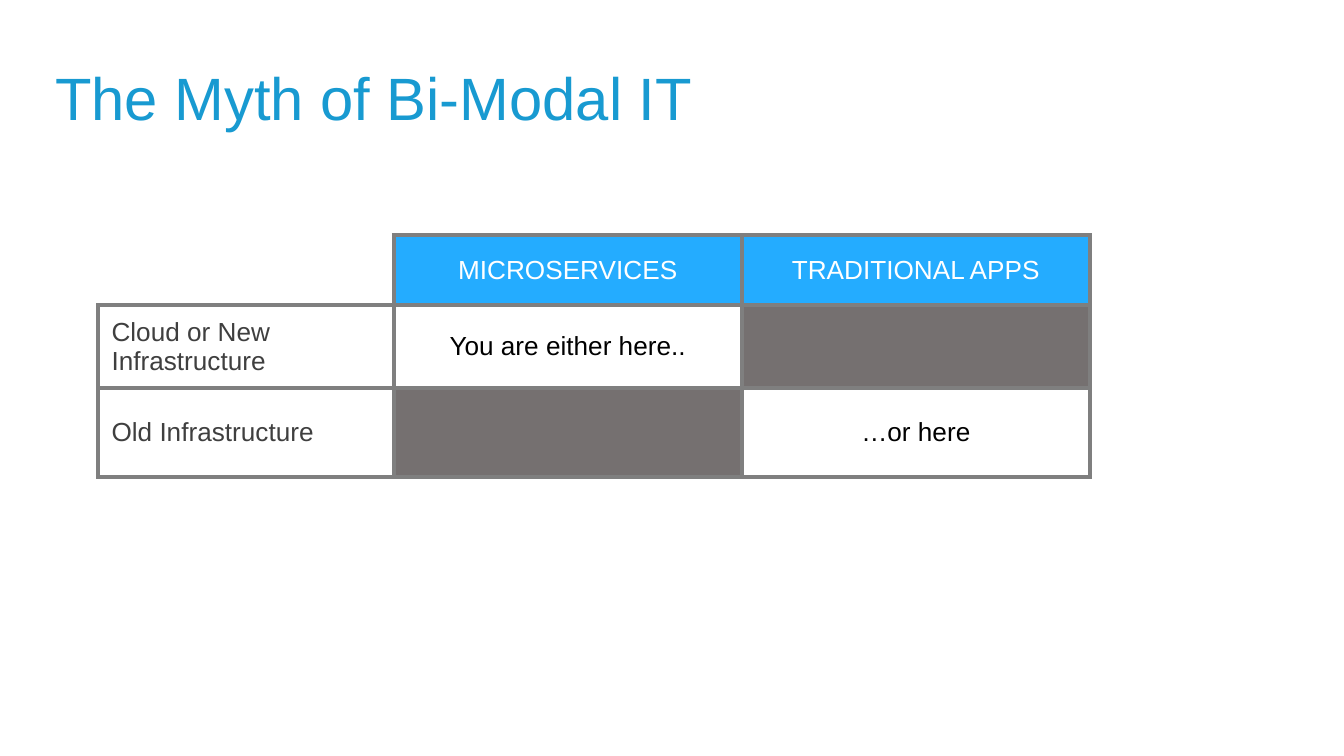
from dataclasses import dataclass
from typing import Optional

from lxml import etree
from pptx import Presentation
from pptx import util as u
from pptx.dml.color import RGBColor
from pptx.enum import text
from pptx.oxml.ns import qn


@dataclass(frozen=True)
class Theme:
    font: str = "Arial"
    title: str = "189AD1"
    header: str = "24ACFF"
    blocked: str = "757070"
    border: str = "7F7F7F"
    white: str = "FFFFFF"
    label: str = "3F3F3F"
    body: str = "000000"
    title_size: float = 32
    cell_size: float = 14
    border_width: float = 2.25


THEME = Theme()


@dataclass(frozen=True)
class Cell:
    words: str = ""
    color: str = THEME.body
    fill: Optional[str] = None
    centred: bool = True
    sides: str = "LRTB"


def format_paragraph(p, size: float, color: str, **formats) -> None:
    """Apply the font, then any paragraph formats."""
    for name, value in {"name": THEME.font, "size": u.Pt(size), "bold": False}.items():
        setattr(p.font, name, value)
    p.font.color.rgb = RGBColor.from_string(color)
    for name, value in formats.items():
        setattr(p, name, value)


def draw_borders(tc_pr, sides: str) -> None:
    """Line the named sides and clear the others."""
    for side in "LRTB":
        ln = etree.SubElement(tc_pr, qn(f"a:ln{side}"), w=str(u.Pt(THEME.border_width)))
        if side in sides:
            fill = etree.SubElement(ln, qn("a:solidFill"))
            etree.SubElement(fill, qn("a:srgbClr"), val=THEME.border)
        else:
            etree.SubElement(ln, qn("a:noFill"))


def draw_cell(cell, item: Cell) -> None:
    draw_borders(cell._tc.get_or_add_tcPr(), item.sides)
    if item.fill:
        cell.fill.solid()
        cell.fill.fore_color.rgb = RGBColor.from_string(item.fill)
    else:
        cell.fill.background()
    cell.vertical_anchor = text.MSO_ANCHOR.MIDDLE
    p = cell.text_frame.paragraphs[0]
    if item.words:
        p.add_run().text = item.words
    align = text.PP_ALIGN.CENTER if item.centred else text.PP_ALIGN.LEFT
    format_paragraph(p, THEME.cell_size, item.color, alignment=align)


def draw_title(s, words: str) -> None:
    sp = s.shapes.title
    box = {"left": 0.31, "top": 0.18, "width": 7.49, "height": 0.75}
    for name, value in box.items():
        setattr(sp, name, u.Inches(value))
    tf = sp.text_frame
    frame = {"text": words, "word_wrap": True, "auto_size": text.MSO_AUTO_SIZE.NONE,
             "vertical_anchor": text.MSO_ANCHOR.MIDDLE}
    for name, value in frame.items():
        setattr(tf, name, value)
    format_paragraph(tf.paragraphs[0], THEME.title_size, THEME.title,
                     alignment=text.PP_ALIGN.LEFT, line_spacing=1.62)


def draw_table(s, grid: list[list[Cell]], widths: list[float], heights: list[float]) -> None:
    table = s.shapes.add_table(
        len(heights), len(widths), u.Inches(0.73), u.Inches(1.75),
        u.Inches(sum(widths)), u.Inches(sum(heights))).table
    table.first_row = table.horz_banding = False
    for column, width in zip(table.columns, widths):
        column.width = u.Inches(width)
    for row, height, items in zip(table.rows, heights, grid):
        row.height = u.Inches(height)
        for cell, item in zip(row.cells, items):
            draw_cell(cell, item)


def main() -> None:
    # Widescreen page, 16:9
    prs = Presentation()
    prs.slide_width, prs.slide_height = u.Inches(10), u.Inches(10 * 9 / 16)
    s = prs.slides.add_slide(prs.slide_layouts[5])
    draw_title(s, "The Myth of Bi-Modal IT")

    # Infrastructure against application style; blocked cells are grey
    blocked = Cell(fill=THEME.blocked)
    grid = [
        [Cell(sides="RB"),
         Cell("MICROSERVICES", THEME.white, THEME.header),
         Cell("TRADITIONAL APPS", THEME.white, THEME.header)],
        [Cell("Cloud or New Infrastructure", THEME.label, centred=False),
         Cell("You are either here.."), blocked],
        [Cell("Old Infrastructure", THEME.label, centred=False),
         blocked, Cell("…or here")],
    ]
    draw_table(s, grid, widths=[2.2, 2.59, 2.59], heights=[0.52, 0.62, 0.66])
    prs.save("out.pptx")


if __name__ == "__main__":
    main()
